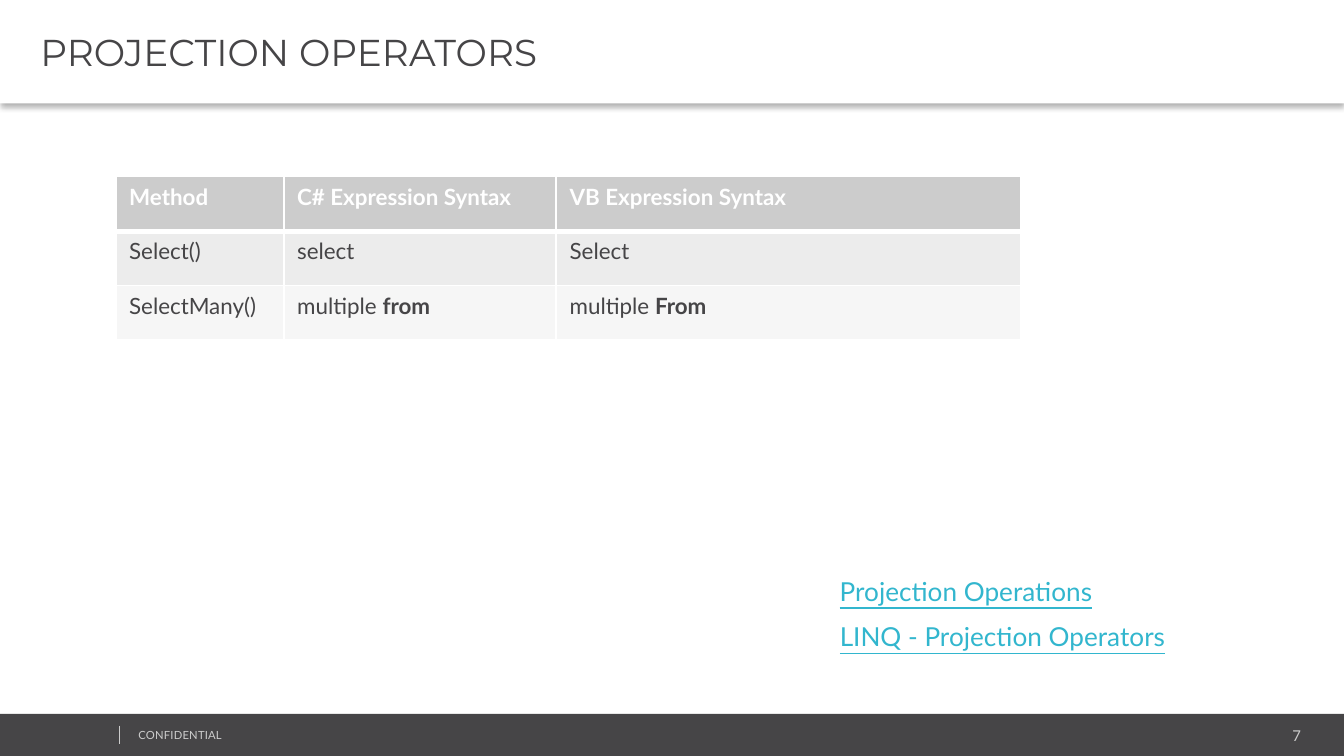
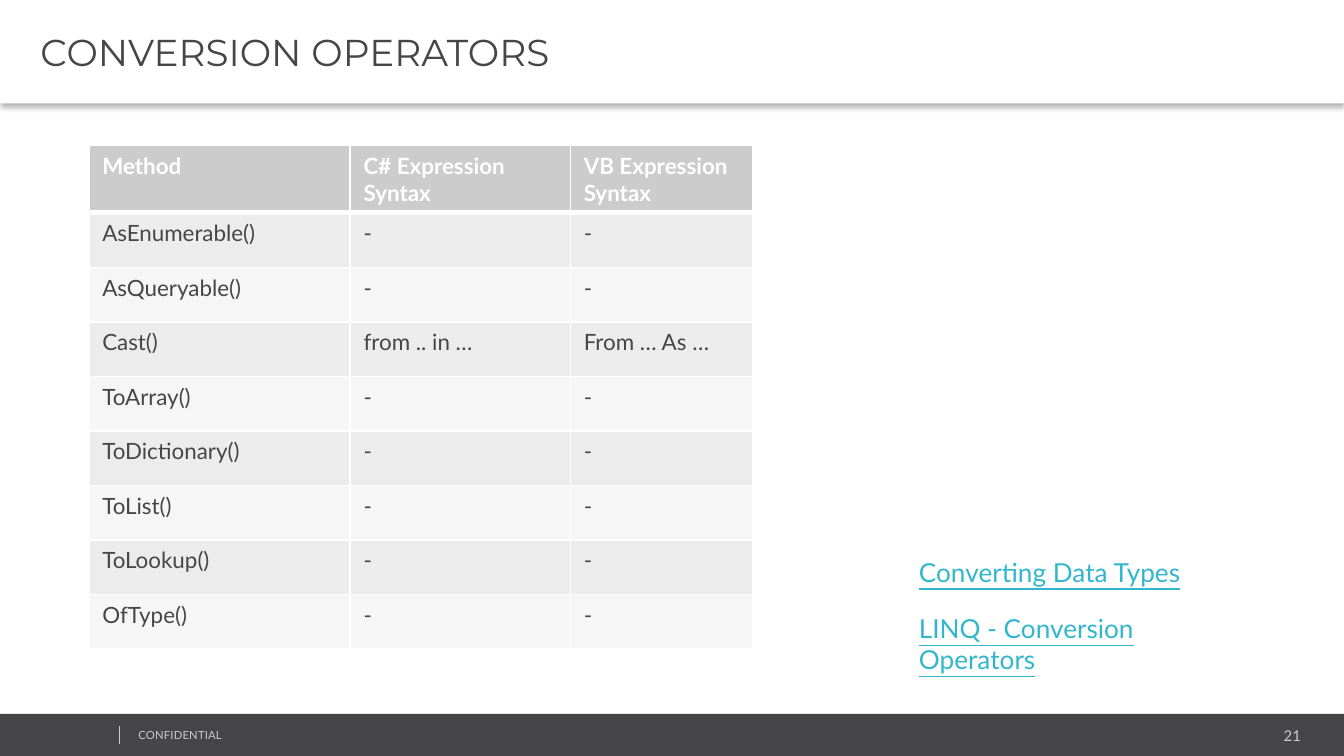
from lxml import etree
from pptx import Presentation
from pptx.dml.color import RGBColor
from pptx.enum.shapes import MSO_CONNECTOR, MSO_SHAPE
from pptx.enum.text import MSO_ANCHOR, MSO_AUTO_SIZE, PP_ALIGN
from pptx.oxml.ns import qn
from pptx.util import Pt

RECT = MSO_SHAPE.RECTANGLE
STRAIGHT = MSO_CONNECTOR.STRAIGHT
LEFT, RIGHT = PP_ALIGN.LEFT, PP_ALIGN.RIGHT
MIDDLE = MSO_ANCHOR.MIDDLE
FIT_SHAPE = MSO_AUTO_SIZE.SHAPE_TO_FIT_TEXT

WHITE = RGBColor(0xFF, 0xFF, 0xFF)
BLACK = RGBColor(0, 0, 0)
DARK = RGBColor(0x46, 0x45, 0x47)
SILVER = RGBColor(0xCC, 0xCC, 0xCC)
ROW_FILLS = (RGBColor(0xEC, 0xEC, 0xEC), RGBColor(0xF6, 0xF6, 0xF6))
TEAL = RGBColor(0x32, 0xB6, 0xCE)

BODY_FONT, TITLE_FONT = "Lato", "Montserrat"
SLIDE_W, SLIDE_H = 720, 405
ROW_H = 29.2
HEADER = ("Method", "C# Expression Syntax", "VB Expression Syntax")


def set_font(p, size, color, name=BODY_FONT):
    p.font.name, p.font.size, p.font.color.rgb = name, Pt(size), color


def set_insets(tf, left=5, top=3, right=5, bottom=3):
    tf.margin_left, tf.margin_top = Pt(left), Pt(top)
    tf.margin_right, tf.margin_bottom = Pt(right), Pt(bottom)


def add_rect(s, box, color):
    sp = s.shapes.add_shape(RECT, *map(Pt, box))
    sp.shadow.inherit = False
    sp.fill.solid()
    sp.fill.fore_color.rgb = color
    sp.line.fill.background()
    return sp


def add_text(s, box, text, size, color, align=LEFT):
    tf = s.shapes.add_textbox(*map(Pt, box)).text_frame
    tf.word_wrap = True
    tf.auto_size = FIT_SHAPE
    p = tf.paragraphs[0]
    p.text, p.alignment = text, align
    set_font(p, size, color)
    return tf


def add_footer(s, number, top=382.4):
    add_rect(s, (0, top, SLIDE_W, SLIDE_H - top), DARK)
    set_insets(add_text(s, (584.6, top + 3.6, 117.4, 15), str(number), 8, SILVER, RIGHT))
    tf = add_text(s, (69.2, top + 4.8, 182, 13), "CONFIDENTIAL", 6, SILVER)
    set_insets(tf)
    tf.paragraphs[0].runs[0].font._element.set("spc", "10")
    rule = s.shapes.add_connector(STRAIGHT, Pt(64), Pt(top + 6.4), Pt(64), Pt(top + 16.4))
    rule.line.color.rgb = SILVER
    rule.line.width = Pt(0.25)
    etree.SubElement(rule._element.spPr, qn("a:effectLst"))


def add_title_band(s, title, height=55.4):
    sp = add_rect(s, (0, 0, SLIDE_W, height), WHITE)
    effects = sp._element.spPr.find(qn("a:effectLst"))
    shadow = etree.SubElement(effects, qn("a:outerShdw"), blurRad=str(Pt(3.1)),
                              dist=str(Pt(2)), dir="5400000", algn="t", rotWithShape="0")
    color = etree.SubElement(shadow, qn("a:srgbClr"), val=str(BLACK))
    etree.SubElement(color, qn("a:alpha"), val="30000")
    tf = sp.text_frame
    tf.word_wrap = True
    tf.vertical_anchor = MIDDLE
    set_insets(tf, left=21.6)
    p = tf.paragraphs[0]
    p.text, p.alignment, p.space_before = title, LEFT, Pt(4)
    set_font(p, 20, DARK, TITLE_FONT)


def set_borders(cell, top, bottom):
    tcPr = cell._tc.get_or_add_tcPr()
    for i, (side, width) in enumerate((("L", 1), ("R", 1), ("T", top), ("B", bottom))):
        ln = etree.Element(qn("a:ln" + side), w=str(Pt(width)))
        fill = etree.SubElement(ln, qn("a:solidFill"))
        etree.SubElement(fill, qn("a:srgbClr"), val=str(WHITE))
        tcPr.insert(i, ln)


def fill_cell(cell, text, row):
    """Write one cell; the part of the text after an asterisk is bold."""
    is_header = row == 0
    cell.fill.solid()
    cell.fill.fore_color.rgb = SILVER if is_header else ROW_FILLS[(row - 1) % 2]
    p = cell.text_frame.paragraphs[0]
    for i, part in enumerate(text.split("*")):
        r = p.add_run()
        r.text = part
        r.font.bold = is_header or i == 1
    set_font(p, 12, WHITE if is_header else DARK)
    set_borders(cell, top=3 if row == 1 else 1, bottom=3 if is_header else 1)


def add_method_table(s, left, top, widths, methods):
    rows = [HEADER, *methods]
    frame = s.shapes.add_table(len(rows), len(widths), Pt(left), Pt(top),
                               Pt(sum(widths)), Pt(ROW_H * len(rows)))
    table = frame.table
    table.first_row = table.horz_banding = False
    for column, width in zip(table.columns, widths):
        column.width = Pt(width)
    for i, texts in enumerate(rows):
        table.rows[i].height = Pt(ROW_H)
        for j, text in enumerate(texts):
            fill_cell(table.cell(i, j), text, i)


def add_references(s, left, references):
    for top, width, text in references:
        tf = add_text(s, (left, top, width, 24.2), text, 14, TEAL)
        tf.paragraphs[0].font.underline = True
        tf.paragraphs[0].runs[0].font.underline = True


def add_operator_slide(prs, number, title, table, references):
    s = prs.slides.add_slide(prs.slide_layouts[6])
    add_footer(s, number)
    add_title_band(s, title)
    add_method_table(s, *table)
    add_references(s, *references)


def main():
    prs = Presentation()
    prs.slide_width, prs.slide_height = Pt(SLIDE_W), Pt(SLIDE_H)

    projections = [
        ("Select()", "select", "Select"),
        ("SelectMany()", "multiple *from", "multiple *From"),
    ]
    add_operator_slide(
        prs, 7, "PROJECTION OPERATORS",
        (62, 94.6, (90, 146, 249), projections),
        (442.8, [(304.6, 153, "Projection Operations"),
                 (329, 192, "LINQ - Projection Operators")]))

    syntax = {"Cast()": ("from .. in …", "From … As …")}
    names = ("AsEnumerable()", "AsQueryable()", "Cast()", "ToArray()",
             "ToDictionary()", "ToList()", "ToLookup()", "OfType()")
    conversions = [(name, *syntax.get(name, ("-", "-"))) for name in names]
    add_operator_slide(
        prs, 21, "CONVERSION OPERATORS",
        (47.6, 78, (140, 118, 97.6), conversions),
        (485.2, [(294.4, 156, "Converting Data Types"),
                 (324.6, 190, "LINQ - Conversion Operators")]))

    prs.save("out.pptx")


if __name__ == "__main__":
    main()
